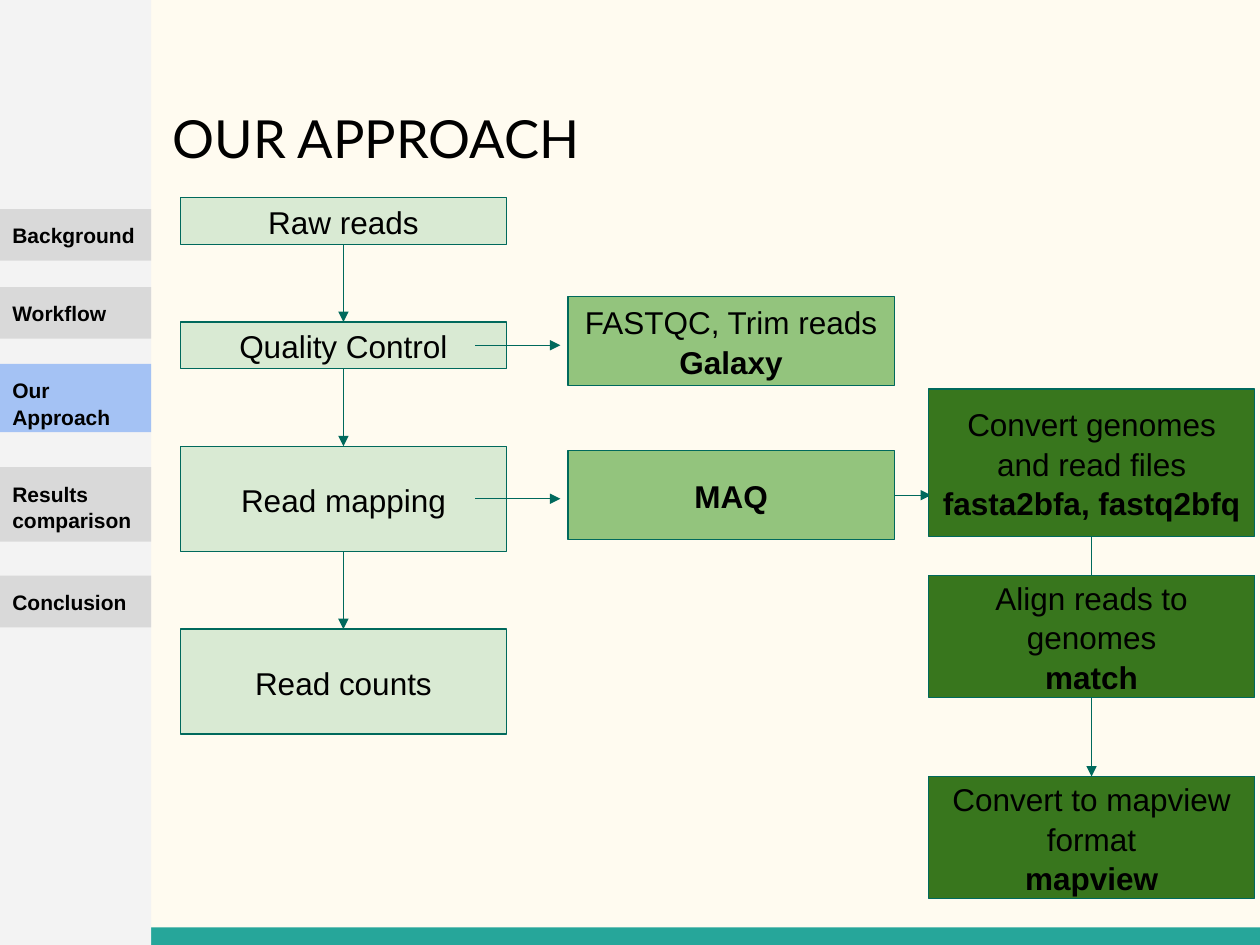
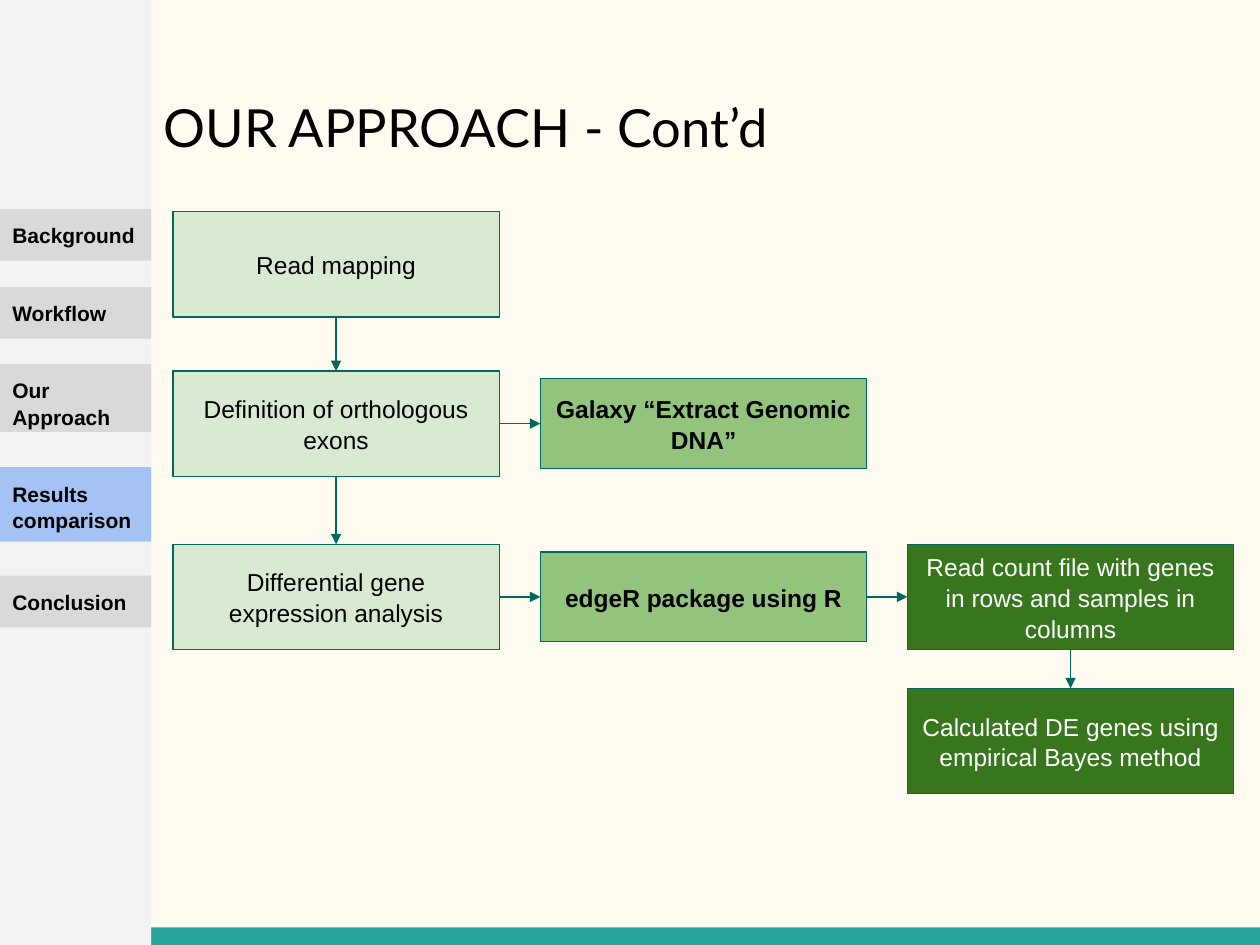
from lxml.etree import SubElement
from pptx import Presentation
from pptx.dml.color import RGBColor
from pptx.enum.shapes import MSO_CONNECTOR as Connector, MSO_SHAPE as Shape
from pptx.enum.text import MSO_ANCHOR as Anchor, MSO_AUTO_SIZE as AutoSize, PP_ALIGN as Align
from pptx.oxml.ns import qn
from pptx.util import Pt

COLORS = {
    "page": "FFFBF0", "band": "26A69A", "line": "00695C",
    "stage": "D9EAD3", "tool": "93C47D", "detail": "38761D",
    "sidebar": "F3F3F3", "section": "D9D9D9", "current": "A4C2F4",
    "black": "000000", "white": "FFFFFF",
}
SECTIONS = [  # label, top, height
    ("Background", 119.5, 29.5),
    ("Workflow", 164, 29.5),
    ("Our Approach", 208, 39),
    ("Results comparison", 267, 42.5),
    ("Conclusion", 329, 29.5),
]
WIDTH, HEIGHT = 720, 540
SIDEBAR_WIDTH = 86.4
STEP_WIDTH = 186.5
TOP, LEFT, BOTTOM, RIGHT = range(4)  # connection sites of a flowchart step


def rgb(name):
    return RGBColor.from_string(COLORS[name])


class Deck:
    def __init__(self):
        self.presentation = Presentation()
        self.presentation.slide_width = Pt(WIDTH)
        self.presentation.slide_height = Pt(HEIGHT)
        background = self.presentation.slide_master.background.fill
        background.solid()
        background.fore_color.rgb = rgb("page")
        self.slide = None
        self.step_size = 18

    def start_slide(self, title, left, top, width, section, step_size):
        layout = self.presentation.slide_layouts[5]
        self.slide = self.presentation.slides.add_slide(layout)
        self.step_size = step_size
        self.block(Shape.RECTANGLE, 0, 530, WIDTH, 10, "band")
        self.title(title, left, top, width)
        self.sidebar(section)

    def title(self, text, left, top, width):
        heading = self.slide.shapes.title
        heading.left, heading.top = Pt(left), Pt(top)
        heading.width, heading.height = Pt(width), Pt(64)
        heading.text_frame.auto_size = AutoSize.NONE
        self.set_text(heading, [(text, False)], 30, Anchor.TOP, Align.LEFT, font="Lato")

    def sidebar(self, current):
        self.block(Shape.RECTANGLE, 0, 0, SIDEBAR_WIDTH, HEIGHT, "sidebar")
        for label, top, height in SECTIONS:
            fill = "current" if label == current else "section"
            tab = self.block(Shape.RECTANGLE, 0, top, SIDEBAR_WIDTH, height, fill)
            self.set_text(tab, [(label, True)], 12, Anchor.TOP, Align.LEFT, spacing=1.05)

    def block(self, kind, left, top, width, height, fill):
        block = self.slide.shapes.add_shape(kind, Pt(left), Pt(top), Pt(width), Pt(height))
        block.shadow.inherit = False
        block.fill.solid()
        block.fill.fore_color.rgb = rgb(fill)
        block.line.fill.background()
        return block

    def set_text(self, shape, lines, size, anchor, align, font="Arial", color="black", spacing=1.0):
        """Fill a shape with (text, bold) lines, one paragraph each."""
        frame = shape.text_frame
        frame.word_wrap = True
        frame.vertical_anchor = anchor
        frame.margin_left = frame.margin_right = Pt(7.2)
        frame.margin_top = frame.margin_bottom = Pt(7.2)
        for index, (text, bold) in enumerate(lines):
            paragraph = frame.add_paragraph() if index else frame.paragraphs[0]
            paragraph.text = text
            paragraph.alignment = align
            paragraph.line_spacing = spacing
            paragraph.font.name = font
            paragraph.font.size = Pt(size)
            paragraph.font.bold = bold
            paragraph.font.color.rgb = rgb(color)

    def step(self, level, left, top, height, task="", program="", color="black"):
        """Add a flowchart step: a plain task line, then a bold program line."""
        step = self.block(Shape.FLOWCHART_PROCESS, left, top, STEP_WIDTH, height, level)
        step.line.color.rgb = rgb("line")
        step.line.width = Pt(0.75)
        lines = [(text, bold) for text, bold in ((task, False), (program, True)) if text]
        self.set_text(step, lines, self.step_size, Anchor.MIDDLE, Align.CENTER,
                      color=color, spacing=1.05)
        return step

    def arrow(self, x1, y1, x2, y2):
        arrow = self.slide.shapes.add_connector(
            Connector.STRAIGHT, Pt(x1), Pt(y1), Pt(x2), Pt(y2))
        arrow.line.color.rgb = rgb("line")
        arrow.line.width = Pt(0.75)
        properties = arrow._element.spPr
        SubElement(properties.find(qn("a:ln")), qn("a:tailEnd"), type="triangle")
        SubElement(properties, qn("a:effectLst"))
        return arrow

    def link(self, source, target, exit_site=BOTTOM, entry_site=TOP):
        arrow = self.arrow(0, 0, 0, 0)
        arrow.begin_connect(source, exit_site)
        arrow.end_connect(target, entry_site)


def build_approach(deck):
    deck.start_slide("OUR APPROACH", 91.5, 53.3, 278, "Our Approach", step_size=18)
    stage_left, tool_left, detail_left = 103, 324.5, 530.5

    stages = [deck.step("stage", stage_left, top, height, task) for task, top, height in (
        ("Raw reads", 113, 26.7),
        ("Quality Control", 184, 26.7),
        ("Read mapping", 255, 60),
        ("Read counts", 359.5, 60),
    )]
    for source, target in zip(stages, stages[1:]):
        deck.link(source, target)

    deck.step("tool", tool_left, 169.3, 51.2, "FASTQC, Trim reads", "Galaxy")
    deck.step("tool", tool_left, 257.3, 51.2, program="MAQ")
    for y in (197.3, 285):
        deck.arrow(271.5, y, 320.2, y)

    detail_center = detail_left + STEP_WIDTH / 2
    deck.arrow(tool_left + STEP_WIDTH, 283, 532, 283)
    deck.arrow(detail_center, 294, detail_center, 338.5)
    deck.step("detail", detail_left, 222.3, 84.2,
              "Convert genomes and read files", "fasta2bfa, fastq2bfq")
    align = deck.step("detail", detail_left, 328.8, 69.7, "Align reads to genomes", "match")
    convert = deck.step("detail", detail_left, 443.7, 69.7, "Convert to mapview format", "mapview")
    deck.link(align, convert)


def build_approach_continued(deck):
    deck.start_slide("OUR APPROACH - Cont’d", SIDEBAR_WIDTH, 47, 633.6,
                     "Results comparison", step_size=14)
    stage_left, tool_left, detail_left = 98.8, 308.8, 518.5

    mapping, exons, expression = [
        deck.step("stage", stage_left, top, 60.2, task) for task, top in (
            ("Read mapping", 121),
            ("Definition of orthologous exons", 212),
            ("Differential gene expression analysis", 311),
        )]
    extraction = deck.step("tool", tool_left, 216.5, 51.2, program="Galaxy “Extract Genomic DNA”")
    edger = deck.step("tool", tool_left, 315.5, 51.2, program="edgeR package using R")
    counts = deck.step("detail", detail_left, 311, 60.2,
                       "Read count file with genes in rows and samples in columns", color="white")
    bayes = deck.step("detail", detail_left, 393.3, 60.2,
                      "Calculated DE genes using empirical Bayes method", color="white")

    for source, target in ((mapping, exons), (exons, expression), (counts, bayes)):
        deck.link(source, target)
    for source, target in ((exons, extraction), (expression, edger), (edger, counts)):
        deck.link(source, target, RIGHT, LEFT)


def main():
    deck = Deck()
    build_approach(deck)
    build_approach_continued(deck)
    deck.presentation.save("out.pptx")


if __name__ == "__main__":
    main()
